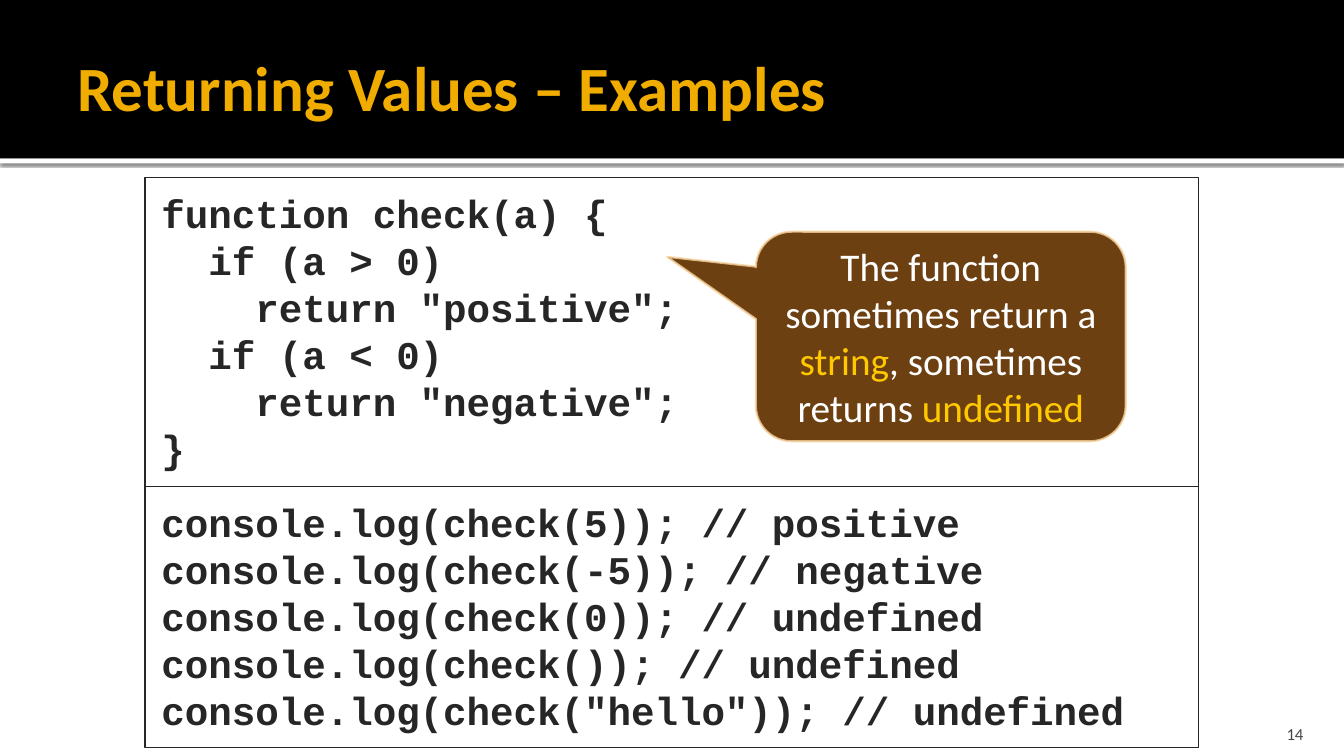
from dataclasses import dataclass

from lxml import etree
from pptx import Presentation
from pptx.dml.color import RGBColor
from pptx.enum.shapes import MSO_SHAPE
from pptx.enum.text import MSO_ANCHOR, PP_ALIGN
from pptx.oxml.ns import qn
from pptx.util import Cm, Pt

RECTANGLE = MSO_SHAPE.RECTANGLE
CALLOUT = MSO_SHAPE.ROUNDED_RECTANGULAR_CALLOUT
MIDDLE, TOP, BOTTOM = MSO_ANCHOR.MIDDLE, MSO_ANCHOR.TOP, MSO_ANCHOR.BOTTOM
LEFT, CENTER, RIGHT = PP_ALIGN.LEFT, PP_ALIGN.CENTER, PP_ALIGN.RIGHT

BLACK = RGBColor(0x00, 0x00, 0x00)
WHITE = RGBColor(0xFF, 0xFF, 0xFF)
GOLD = RGBColor(0xF0, 0xAD, 0x00)
YELLOW = RGBColor(0xFF, 0xC8, 0x00)
DARK = RGBColor(0x26, 0x26, 0x26)
GRAY = RGBColor(0x45, 0x45, 0x45)
BROWN = RGBColor(0x66, 0x36, 0x06)
CREAM = RGBColor(0xF8, 0xD4, 0x9E)

BODY_FONT, CODE_FONT = "Calibri", "Courier New"
SLIDE_WIDTH, SLIDE_HEIGHT = 33.87, 19.05
HEADER_HEIGHT, STRIP_HEIGHT = 3.99, 0.13
CODE_LEFT, CODE_TOP, CODE_WIDTH = 3.66, 4.47, 26.54


@dataclass
class CodeBox:
    height: float
    lines: list[str]


CODE_BOXES = [
    CodeBox(7.79, [
        "function check(a) {",
        "  if (a > 0)",
        '    return "positive";',
        "  if (a < 0)",
        '    return "negative";',
        "}",
    ]),
    CodeBox(6.58, [
        "console.log(check(5)); // positive",
        "console.log(check(-5)); // negative",
        "console.log(check(0)); // undefined",
        "console.log(check()); // undefined",
        'console.log(check("hello")); // undefined',
    ]),
]

CALLOUT_RUNS = [
    ("The function sometimes return a ", WHITE),
    ("string", YELLOW),
    (", sometimes returns ", WHITE),
    ("undefined", YELLOW),
]


def add_run(paragraph, text: str, size: float, color: RGBColor,
            font: str = BODY_FONT, bold: bool = False) -> None:
    run = paragraph.add_run()
    run.text = text
    run.font.size = Pt(size)
    run.font.name = font
    run.font.bold = bold
    run.font.color.rgb = color


def set_frame(frame, anchor, left: float, top: float, right: float, bottom: float) -> None:
    """Set wrapping, anchor and insets in centimetres."""
    frame.word_wrap = True
    frame.vertical_anchor = anchor
    frame.margin_left, frame.margin_top = Cm(left), Cm(top)
    frame.margin_right, frame.margin_bottom = Cm(right), Cm(bottom)


def add_shape(slide, kind, left: float, top: float, width: float, height: float):
    shape = slide.shapes.add_shape(kind, Cm(left), Cm(top), Cm(width), Cm(height))
    shape.shadow.inherit = False
    return shape


def set_alpha(fill_color, percent: int) -> None:
    etree.SubElement(fill_color, qn("a:alpha"), val=str(percent * 1000))


def add_band(slide, top: float, height: float, color: RGBColor):
    band = add_shape(slide, RECTANGLE, 0, top, SLIDE_WIDTH, height)
    band.fill.solid()
    band.fill.fore_color.rgb = color
    band.line.fill.background()
    return band


def add_header(slide) -> None:
    strip = add_band(slide, HEADER_HEIGHT, STRIP_HEIGHT, WHITE)
    effects = strip._element.spPr.find(qn("a:effectLst"))
    shadow = etree.SubElement(effects, qn("a:outerShdw"), blurRad=str(Pt(2.5)),
                              dist=str(Pt(0.8)), dir="5400000", rotWithShape="0")
    set_alpha(etree.SubElement(shadow, qn("a:srgbClr"), val=str(BLACK)), 60)
    header = add_band(slide, 0, HEADER_HEIGHT, BLACK)

    title = slide.shapes.title
    title.left, title.top, title.width, title.height = Cm(1.7), Cm(0.43), Cm(23.29), Cm(3.48)
    set_frame(title.text_frame, MIDDLE, 0.25, 0.13, 0.13, 0.13)
    paragraph = title.text_frame.paragraphs[0]
    paragraph.alignment = LEFT
    add_run(paragraph, "Returning Values – Examples", 45, GOLD, bold=True)
    header._element.addnext(title._element)


def add_slide_number(slide) -> None:
    box = slide.shapes.add_textbox(Cm(30.38), Cm(17.98), Cm(2.72), Cm(0.76))
    set_frame(box.text_frame, BOTTOM, 0.25, 0.13, 0.25, 0)
    paragraph = box.text_frame.paragraphs[0]
    paragraph.alignment = RIGHT
    add_run(paragraph, "14", 12, GRAY)


def add_code_box(slide, code: CodeBox, top: float) -> None:
    shape = add_shape(slide, RECTANGLE, CODE_LEFT, top, CODE_WIDTH, code.height)
    shape.fill.background()
    shape.line.color.rgb = DARK
    shape.line.width = Pt(1)
    frame = shape.text_frame
    set_frame(frame, TOP, 0.41, 0.3, 0.41, 0.3)
    for index, line in enumerate(code.lines):
        paragraph = frame.add_paragraph() if index else frame.paragraphs[0]
        paragraph.alignment = LEFT
        add_run(paragraph, line, 28, DARK, CODE_FONT, bold=True)


def add_callout(slide) -> None:
    callout = add_shape(slide, CALLOUT, 19.05, 5.84, 9.32, 5.28)
    for index, value in enumerate((-0.74, -0.38, 0.17)):
        callout.adjustments[index] = value
    callout.fill.solid()
    callout.fill.fore_color.rgb = BROWN
    callout.line.color.rgb = CREAM
    callout.line.width = Pt(1.5)
    properties = callout._element.spPr
    set_alpha(properties.find(qn("a:solidFill"))[0], 95)
    set_alpha(properties.find(qn("a:ln")).find(qn("a:solidFill"))[0], 80)
    set_frame(callout.text_frame, MIDDLE, 0.25, 0.13, 0.25, 0.13)
    paragraph = callout.text_frame.paragraphs[0]
    paragraph.alignment = CENTER
    for text, color in CALLOUT_RUNS:
        add_run(paragraph, text, 28, color)


def main() -> None:
    presentation = Presentation()
    presentation.slide_width, presentation.slide_height = Cm(SLIDE_WIDTH), Cm(SLIDE_HEIGHT)
    slide = presentation.slides.add_slide(presentation.slide_layouts.get_by_name("Title Only"))
    add_header(slide)
    add_slide_number(slide)
    top = CODE_TOP
    for code in CODE_BOXES:
        add_code_box(slide, code, top)
        top += code.height
    add_callout(slide)
    presentation.save("out.pptx")


if __name__ == "__main__":
    main()
